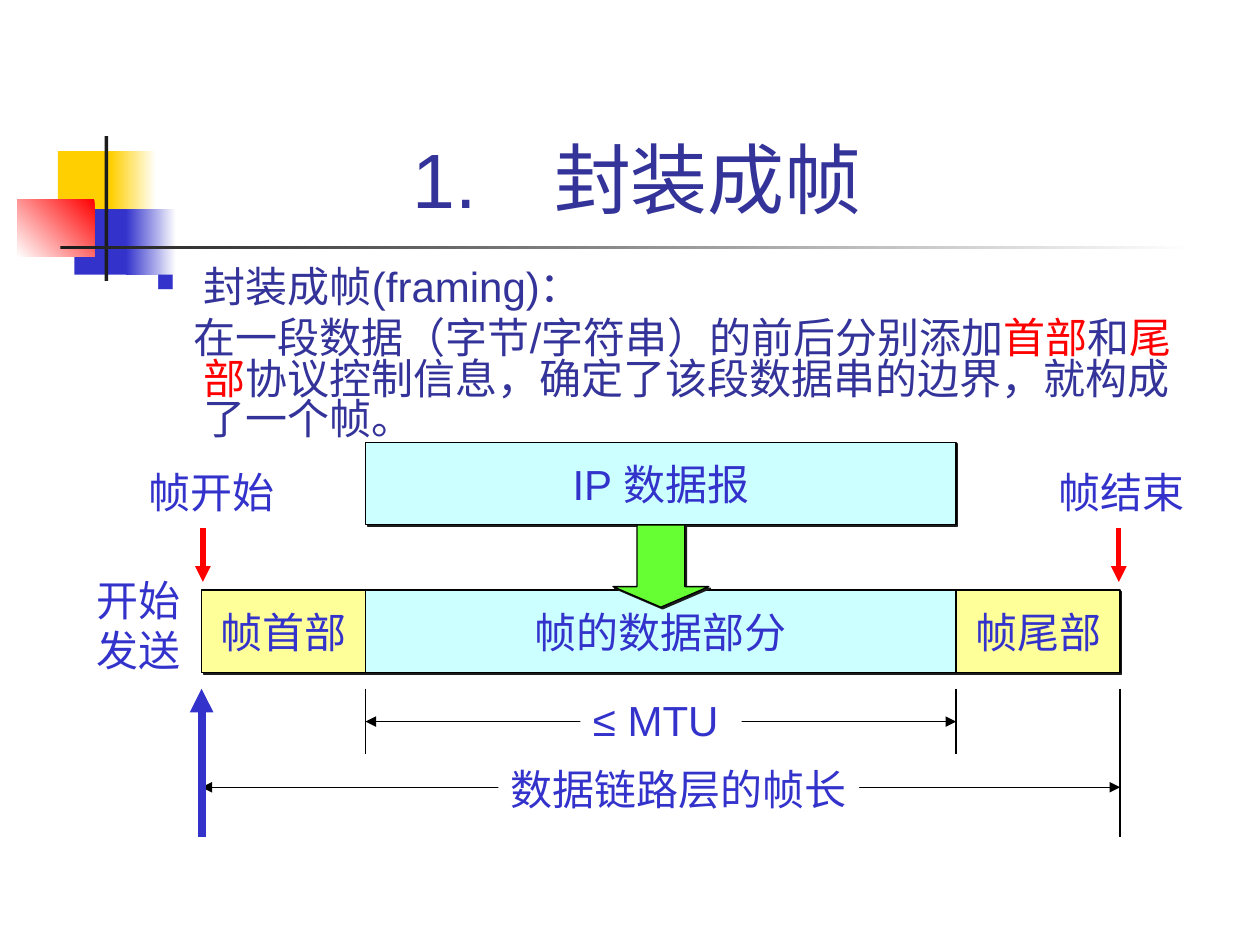
from dataclasses import dataclass

from lxml import etree
from pptx import Presentation
from pptx.dml.color import RGBColor
from pptx.enum.shapes import MSO_CONNECTOR, MSO_SHAPE
from pptx.enum.text import MSO_ANCHOR, PP_ALIGN
from pptx.oxml.ns import qn
from pptx.util import Inches, Pt

RECTANGLE, DOWN_ARROW = MSO_SHAPE.RECTANGLE, MSO_SHAPE.DOWN_ARROW
STRAIGHT = MSO_CONNECTOR.STRAIGHT
TOP, MIDDLE, BOTTOM = MSO_ANCHOR.TOP, MSO_ANCHOR.MIDDLE, MSO_ANCHOR.BOTTOM
LEFT, CENTER = PP_ALIGN.LEFT, PP_ALIGN.CENTER

WHITE = RGBColor(0xFF, 0xFF, 0xFF)
BLACK = RGBColor(0x00, 0x00, 0x00)
CHARCOAL = RGBColor(0x1C, 0x1C, 0x1C)
GOLD = RGBColor(0xFF, 0xCF, 0x01)
BLUE = RGBColor(0x33, 0x33, 0xCC)
NAVY = RGBColor(0x33, 0x33, 0x99)
RED = RGBColor(0xFF, 0x00, 0x00)
YELLOW = RGBColor(0xFF, 0xFF, 0x99)
CYAN = RGBColor(0xCC, 0xFF, 0xFF)
GREEN = RGBColor(0x66, 0xFF, 0x33)
FONT = "Arial"


@dataclass
class Grid:
    """A box in inches, divided into equal columns and rows."""

    left: float
    top: float
    width: float
    height: float
    columns: int
    rows: int

    def point(self, column, row):
        """Return the position of a grid point."""
        return (Inches(self.left + column * self.width / self.columns),
                Inches(self.top + row * self.height / self.rows))

    def area(self, column, row, columns, rows):
        """Return left, top, width and height of a block of cells."""
        return (*self.point(column, row),
                Inches(columns * self.width / self.columns),
                Inches(rows * self.height / self.rows))


def set_font(paragraph, size, color):
    """Set the font of a whole paragraph."""
    paragraph.font.name = FONT
    paragraph.font.size = Pt(size)
    paragraph.font.color.rgb = color


def write_lines(shape, lines, anchor, alignment):
    """Write each line as a blue paragraph that does not wrap."""
    frame = shape.text_frame
    frame.word_wrap = False
    frame.vertical_anchor = anchor
    frame.text = "\n".join(lines)
    for paragraph in frame.paragraphs:
        paragraph.alignment = alignment
        set_font(paragraph, 24, BLUE)


def add_block(slide, area, color, kind=RECTANGLE):
    """Add a plain filled shape without outline or shadow."""
    shape = slide.shapes.add_shape(kind, *area)
    shape.fill.solid()
    shape.fill.fore_color.rgb = color
    shape.line.fill.background()
    shape.shadow.inherit = False
    return shape


def add_fade(slide, area, start, angle=0):
    """Add a block that fades from a colour to white."""
    fill = add_block(slide, area, start).fill
    fill.gradient()
    fill.gradient_angle = angle
    for stop, color, position in zip(fill.gradient_stops, (start, WHITE), (0, 1)):
        stop.color.rgb = color
        stop.position = position


def add_raised(slide, area, color, kind=RECTANGLE):
    """Add an outlined block with a hard shadow."""
    shape = add_block(slide, area, color, kind)
    shape.line.color.rgb = BLACK
    shape.line.width = Pt(0.75)
    effects = shape._element.spPr.find(qn("a:effectLst"))
    shadow = etree.SubElement(effects, qn("a:outerShdw"), dist=str(Pt(1.4)),
                              dir="2700000", algn="ctr", rotWithShape="0")
    etree.SubElement(shadow, qn("a:srgbClr"), val=str(CHARCOAL))
    return shape


def add_line(slide, start, end, color=BLACK, width=0.75, arrows=()):
    """Add a straight line with arrowheads at the named ends."""
    line = slide.shapes.add_connector(STRAIGHT, *start, *end)
    line.line.color.rgb = color
    line.line.width = Pt(width)
    for name in arrows:
        etree.SubElement(line.line._get_or_add_ln(), qn(f"a:{name}"), type="triangle")
    etree.SubElement(line._element.spPr, qn("a:effectLst"))


def add_label(slide, area, *lines):
    """Add a white label."""
    write_lines(add_block(slide, area, WHITE), lines, TOP, LEFT)


def add_decoration(slide, grid):
    """Draw the coloured squares and the rule beside the title."""
    add_block(slide, grid.area(3.2, 1.2, 4.8, 5.2), GOLD)
    add_fade(slide, grid.area(7.4, 1.2, 3.6, 5.2), GOLD)
    add_block(slide, grid.area(4.5, 5.8, 4.6, 5.2), BLUE)
    add_fade(slide, grid.area(8.6, 5.8, 4, 5.2), BLUE)
    add_fade(slide, grid.area(0, 5, 6.1, 4.6), RED, 225)
    add_block(slide, grid.area(6.9, 0, 0.3, 11.5), CHARCOAL)
    add_fade(slide, grid.area(3.4, 8.7, 90, 0.3), CHARCOAL)


def add_title(slide, area):
    """Place and format the title."""
    title = slide.shapes.title
    title.left, title.top, title.width, title.height = area
    title.text_frame.vertical_anchor = BOTTOM
    title.text_frame.text = "1.　封装成帧"
    paragraph = title.text_frame.paragraphs[0]
    paragraph.alignment = CENTER
    set_font(paragraph, 44, NAVY)


def add_definition(slide, area):
    """Write the bulleted term and its explanation."""
    frame = slide.shapes.add_textbox(*area).text_frame
    frame.word_wrap = True
    term, explanation = frame.paragraphs[0], frame.add_paragraph()
    for paragraph, indent in ((term, -0.38), (explanation, -0.08)):
        properties = paragraph._element.get_or_add_pPr()
        properties.set("marL", str(Inches(0.38)))
        properties.set("indent", str(Inches(indent)))
        paragraph.line_spacing = 0.8
        paragraph.space_before = Pt(6)
    properties = term._element.pPr
    color = etree.SubElement(properties, qn("a:buClr"))
    etree.SubElement(color, qn("a:srgbClr"), val=str(BLUE))
    etree.SubElement(properties, qn("a:buSzPct"), val="60000")
    etree.SubElement(properties, qn("a:buChar"), char="■")
    term.add_run().text = "封装成帧(framing)："
    for text, color in (("在一段数据（字节/字符串）的前后分别添加", NAVY), ("首部", RED),
                        ("和", NAVY), ("尾部", RED),
                        ("协议控制信息，确定了该段数据串的边界，就构成了一个帧。", NAVY)):
        run = explanation.add_run()
        run.text = text
        run.font.color.rgb = color
    for paragraph in (term, explanation):
        set_font(paragraph, 24, NAVY)


def add_frame_diagram(slide, grid):
    """Draw the datagram, the frame around it and its measures."""
    for text, column, row, columns, color in (
            ("帧首部", 0, 9, 10, YELLOW), ("IP 数据报", 10, 0, 36, CYAN),
            ("帧的数据部分", 10, 9, 36, CYAN), ("帧尾部", 46, 9, 10, YELLOW)):
        block = add_raised(slide, grid.area(column, row, columns, 5), color)
        write_lines(block, [text], MIDDLE, CENTER)
    add_raised(slide, grid.area(25.08, 5.04, 5.84, 5), GREEN, DOWN_ARROW).adjustments[1] = 0.25

    for start, end, row in ((10, 46, 17), (0, 56, 21)):
        add_line(slide, grid.point(start, row), grid.point(end, row),
                 arrows=("headEnd", "tailEnd"))
    for column, bottom in ((10, 19), (46, 19), (56, 24)):
        add_line(slide, grid.point(column, 15), grid.point(column, bottom))
    add_line(slide, grid.point(0, 15), grid.point(0, 24), BLUE, 4.5, ("headEnd",))
    for column in (0.08, 55.92):
        add_line(slide, grid.point(column, 5.2), grid.point(column, 8.5), RED, 3, ("tailEnd",))

    add_label(slide, grid.area(-4, 1.07, 9.2, 3.85), "帧开始")
    add_label(slide, grid.area(51.5, 1.07, 9.2, 3.85), "帧结束")
    add_label(slide, grid.area(23.1, 15, 9.83, 3.85), "≤ MTU")
    add_label(slide, grid.area(18.1, 19.17, 22, 3.85), "数据链路层的帧长")
    add_label(slide, grid.area(-7.15, 7.67, 6.6, 6.9), "开始", "发送")


def main():
    """Build and save the slide."""
    presentation = Presentation()
    presentation.slide_width, presentation.slide_height = Inches(10), Inches(7.5)
    slide = presentation.slides.add_slide(presentation.slide_layouts[5])
    page = Grid(0, 0, 10, 7.5, 100, 75)
    add_decoration(slide, Grid(0.14, 1.08, 9.4, 1.2, 94, 12))
    add_title(slide, page.area(12.6, 2.3, 76, 16))
    add_definition(slide, page.area(11.4, 21, 85, 15.7))
    add_frame_diagram(slide, Grid(1.6, 3.51, 7.29, 3.13, 56, 24))
    presentation.save("out.pptx")


if __name__ == "__main__":
    main()
